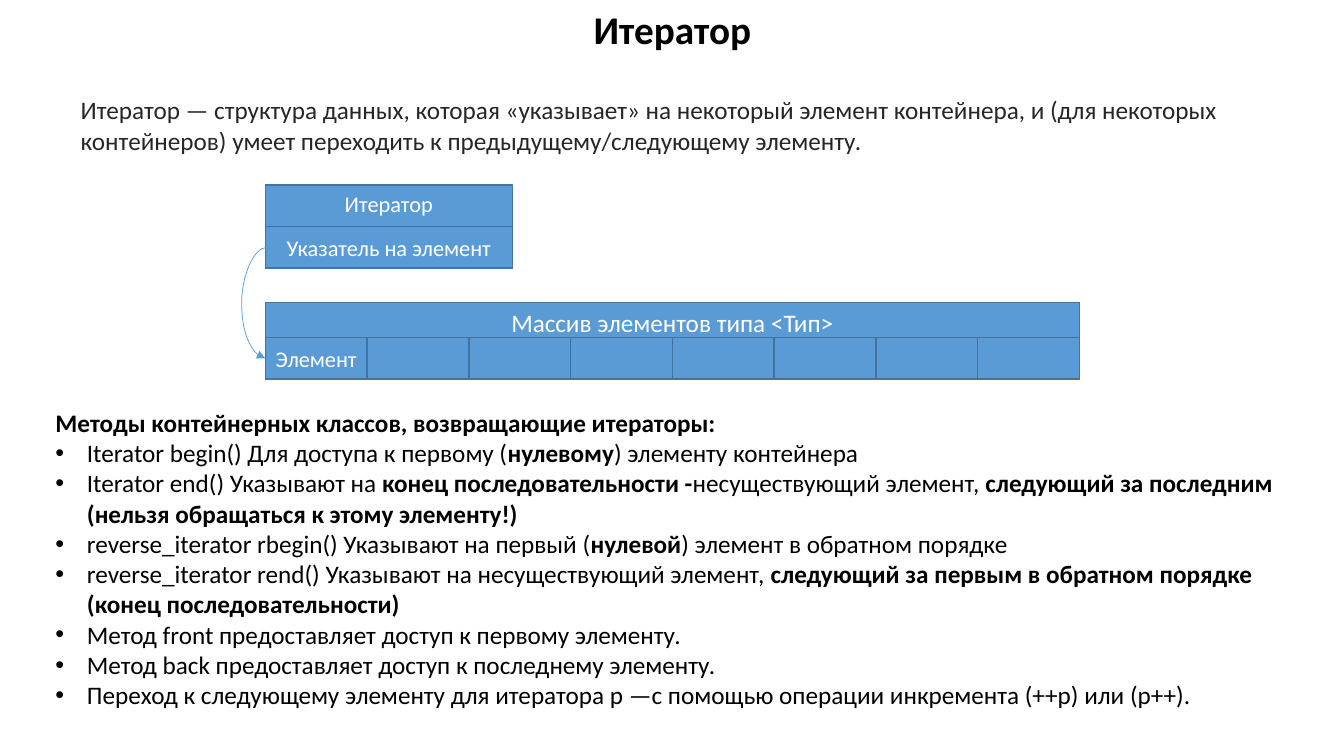
"""Builds a slide that explains iterators over a container."""
from dataclasses import dataclass

from lxml import etree
from pptx import Presentation
from pptx.dml.color import RGBColor
from pptx.enum.shapes import MSO_CONNECTOR, MSO_SHAPE
from pptx.enum.text import MSO_ANCHOR, MSO_AUTO_SIZE, PP_ALIGN
from pptx.oxml.ns import qn
from pptx.util import Pt

RECTANGLE = MSO_SHAPE.RECTANGLE
CURVE = MSO_CONNECTOR.CURVE
TOP, MIDDLE = MSO_ANCHOR.TOP, MSO_ANCHOR.MIDDLE
LEFT, CENTER = PP_ALIGN.LEFT, PP_ALIGN.CENTER
NO_AUTOFIT = MSO_AUTO_SIZE.NONE


@dataclass(frozen=True)
class Theme:
    font: str = "Calibri"
    black: str = "000000"
    intro: str = "242729"
    white: str = "FFFFFF"
    fill: str = "5B9BD5"
    outline: str = "43739E"
    title_size: float = 28
    text_size: float = 18
    label_size: float = 16


class SlideBuilder:
    def __init__(self, slide, theme):
        self.slide = slide
        self.theme = theme

    def place(self, shape, box):
        shape.left, shape.top, shape.width, shape.height = map(Pt, box)

    def fill_paragraph(self, paragraph, text, size, color, align=LEFT, bold=False):
        """Add text in which asterisks enclose the bold parts."""
        for index, part in enumerate(text.split("*")):
            if part:
                run = paragraph.add_run()
                run.text = part
                if index % 2:
                    run.font.bold = True
        font = paragraph.font
        font.name, font.size, font.bold = self.theme.font, Pt(size), bold
        font.color.rgb = RGBColor.from_string(color)
        paragraph.alignment = align
        paragraph.line_spacing = 1.0
        paragraph.space_before = paragraph.space_after = Pt(0)

    def prepare(self, frame, anchor=TOP):
        frame.word_wrap = True
        frame.auto_size = NO_AUTOFIT
        frame.vertical_anchor = anchor

    def title(self, text, box):
        title = self.slide.shapes.title
        self.place(title, box)
        self.prepare(title.text_frame)
        self.fill_paragraph(title.text_frame.paragraphs[0], text, self.theme.title_size,
                            self.theme.black, CENTER, True)

    def text(self, text, box):
        intro = self.slide.shapes.add_textbox(*map(Pt, box))
        self.prepare(intro.text_frame)
        self.fill_paragraph(intro.text_frame.paragraphs[0], text,
                            self.theme.text_size, self.theme.intro)

    def bullets(self, heading, items, box, indent):
        body = self.slide.placeholders[1]
        self.place(body, box)
        frame = body.text_frame
        self.prepare(frame)
        self.fill_paragraph(frame.paragraphs[0], heading, self.theme.text_size,
                            self.theme.black, bold=True)
        self.bullet(frame.paragraphs[0], None, 0)
        for item in items:
            paragraph = frame.add_paragraph()
            self.fill_paragraph(paragraph, item, self.theme.text_size, self.theme.black)
            self.bullet(paragraph, "•", indent)

    def bullet(self, paragraph, char, indent):
        properties = paragraph._p.get_or_add_pPr()
        properties.set("marL", str(Pt(indent)))
        properties.set("indent", str(-Pt(indent)))
        mark = etree.Element(qn("a:buChar" if char else "a:buNone"))
        if char:
            mark.set("char", char)
        properties.find(qn("a:defRPr")).addprevious(mark)

    def block(self, box, text="", size=None, anchor=MIDDLE):
        block = self.slide.shapes.add_shape(RECTANGLE, *map(Pt, box))
        block.shadow.inherit = False
        block.fill.solid()
        block.fill.fore_color.rgb = RGBColor.from_string(self.theme.fill)
        block.line.color.rgb = RGBColor.from_string(self.theme.outline)
        block.line.width = Pt(1)
        if text:
            self.prepare(block.text_frame, anchor)
            self.fill_paragraph(block.text_frame.paragraphs[0], text,
                                size or self.theme.label_size, self.theme.white, CENTER)

    def curved_arrow(self, start, end, bend):
        arrow = self.slide.shapes.add_connector(CURVE, *map(Pt, start + end))
        arrow.line.color.rgb = RGBColor.from_string(self.theme.fill)
        arrow.line.width = Pt(0.5)
        etree.SubElement(arrow.line._get_or_add_ln(), qn("a:tailEnd"), type="triangle")
        properties = arrow._element.spPr
        etree.SubElement(properties, qn("a:effectLst"))
        geometry = properties.find(qn("a:prstGeom"))
        adjustments = geometry.find(qn("a:avLst"))
        if adjustments is None:
            adjustments = etree.SubElement(geometry, qn("a:avLst"))
        ratio = round(bend / abs(end[0] - start[0]) * 100000)
        etree.SubElement(adjustments, qn("a:gd"), name="adj1", fmla=f"val {ratio}")


METHODS = [
    "Iterator begin() Для доступа к первому (*нулевому*) элементу контейнера",
    "Iterator end() Указывают на *конец последовательности -*несуществующий элемент, "
    "*следующий за последним (нельзя обращаться к этому элементу!)*",
    "reverse_iterator rbegin() Указывают на первый (*нулевой*) элемент в обратном порядке",
    "reverse_iterator rend() Указывают на несуществующий элемент, "
    "*следующий за первым в обратном порядке (конец последовательности)*",
    "Метод front предоставляет доступ к первому элементу.",
    "Метод back предоставляет доступ к последнему элементу.",
    "Переход к следующему элементу для итератора p —с помощью операции инкремента "
    "(++p) или (p++).",
]


def main():
    deck = Presentation()
    deck.slide_width, deck.slide_height = Pt(960), Pt(540)
    theme = Theme()
    builder = SlideBuilder(deck.slides.add_slide(deck.slide_layouts[1]), theme)

    builder.title("Итератор", (400, 0, 160.5, 41))
    builder.text("Итератор — структура данных, которая «указывает» на некоторый элемент "
                 "контейнера, и (для некоторых контейнеров) умеет переходить к "
                 "предыдущему/следующему элементу.", (50.5, 64, 867.5, 51))

    left, cell_width, cell_height, cell_count = 189.5, 72.7, 29.5, 8
    array_top, cell_top = 216, 241.2
    iterator_top, pointer_top, iterator_width = 132, 162, 176.5
    builder.block((left, array_top, cell_count * cell_width,
                   cell_top + cell_height - array_top),
                  "Массив элементов типа <Тип>", theme.text_size, TOP)
    for index in range(cell_count):
        builder.block((left + index * cell_width, cell_top, cell_width, cell_height),
                      "" if index else "Элемент")
    builder.block((left, iterator_top, iterator_width,
                   pointer_top + cell_height - iterator_top), "Итератор", anchor=TOP)
    builder.block((left, pointer_top, iterator_width, cell_height), "Указатель на элемент")
    builder.curved_arrow((left + 1, pointer_top + cell_height / 2),
                         (left, cell_top + cell_height / 2), 18)

    builder.bullets("Методы контейнерных классов, возвращающие итераторы:", METHODS,
                    (32.4, 287.3, 895.7, 225.4), 22.5)
    deck.save("out.pptx")


if __name__ == "__main__":
    main()
